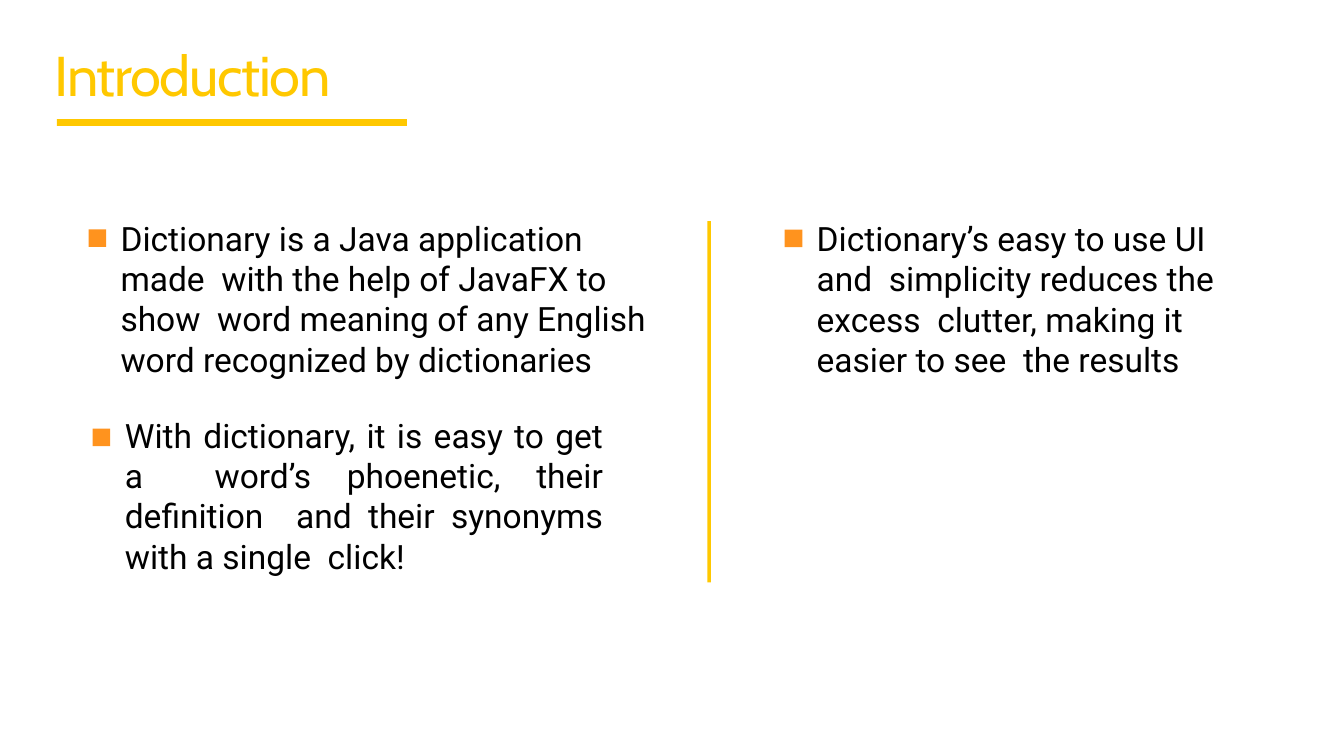
from pptx import Presentation
from pptx.dml.color import RGBColor
from pptx.enum.shapes import MSO_SHAPE
from pptx.enum.text import MSO_ANCHOR, MSO_AUTO_SIZE, PP_ALIGN
from pptx.util import Cm, Pt

YELLOW = RGBColor(0xFF, 0xC8, 0x00)
ORANGE = RGBColor(0xFF, 0x93, 0x1E)
BLACK = RGBColor(0, 0, 0)


def set_frame(frame):
    frame.word_wrap = True
    frame.auto_size = MSO_AUTO_SIZE.SHAPE_TO_FIT_TEXT
    frame.vertical_anchor = MSO_ANCHOR.TOP
    frame.margin_left = frame.margin_top = Cm(0.03)
    frame.margin_right = frame.margin_bottom = 0


def set_paragraph(paragraph, text, font_name, size, color, before):
    paragraph.text = text
    paragraph.alignment = PP_ALIGN.LEFT
    paragraph.space_before = Pt(before)
    paragraph.font.name = font_name
    paragraph.font.size = Pt(size)
    paragraph.font.color.rgb = color


presentation = Presentation()
presentation.slide_width = Cm(55.85)
presentation.slide_height = Cm(31.42)
slide = presentation.slides.add_slide(presentation.slide_layouts[5])

heading = slide.shapes.title
heading.left, heading.top, heading.width, heading.height = Cm(2.24), Cm(1.65), Cm(12.27), Cm(2.87)
set_frame(heading.text_frame)
heading_line = heading.text_frame.paragraphs[0]
set_paragraph(heading_line, "Introduction", "Cabin", 66, YELLOW, 0.9)
heading_line.runs[0].font._element.set("spc", "-150")

bars = [
    (2.36, 4.95, 14.55, 0.28, YELLOW),
    (29.4, 9.19, 0.14, 15.02, YELLOW),
    (3.68, 9.53, 0.73, 0.73, ORANGE),
    (3.85, 17.81, 0.73, 0.73, ORANGE),
    (32.61, 9.54, 0.73, 0.73, ORANGE),
]
for left, top, width, height, color in bars:
    bar = slide.shapes.add_shape(MSO_SHAPE.RECTANGLE, Cm(left), Cm(top), Cm(width), Cm(height))
    bar.shadow.inherit = False
    bar.fill.solid()
    bar.fill.fore_color.rgb = color
    bar.line.fill.background()

columns = [
    (4.98, 9.02, 22.78, 15.04, [
        ("Dictionary is a Java application made  with the help of JavaFX to "
         "show  word meaning of any English", 1.1),
        ("word recognized by dictionaries", 0.3),
        ("With dictionary, it is easy to get a  word’s phoenetic, their "
         "definition  and their synonyms with a single  click!", 42.5),
    ]),
    (33.91, 9.04, 18.64, 6.78, [
        ("Dictionary’s easy to use UI and  simplicity reduces the excess  "
         "clutter, making it easier to see  the results", 1.1),
    ]),
]
for left, top, width, height, points in columns:
    column = slide.shapes.add_textbox(Cm(left), Cm(top), Cm(width), Cm(height))
    set_frame(column.text_frame)
    for index, (text, before) in enumerate(points):
        point = column.text_frame.add_paragraph() if index else column.text_frame.paragraphs[0]
        set_paragraph(point, text, "Roboto", 39.5, BLACK, before)
        if text.startswith("With"):
            point.alignment = PP_ALIGN.JUSTIFY
            indents = point._p.get_or_add_pPr()
            indents.set("marL", str(Cm(0.18)))
            indents.set("marR", str(Cm(2.69)))

presentation.save("out.pptx")
